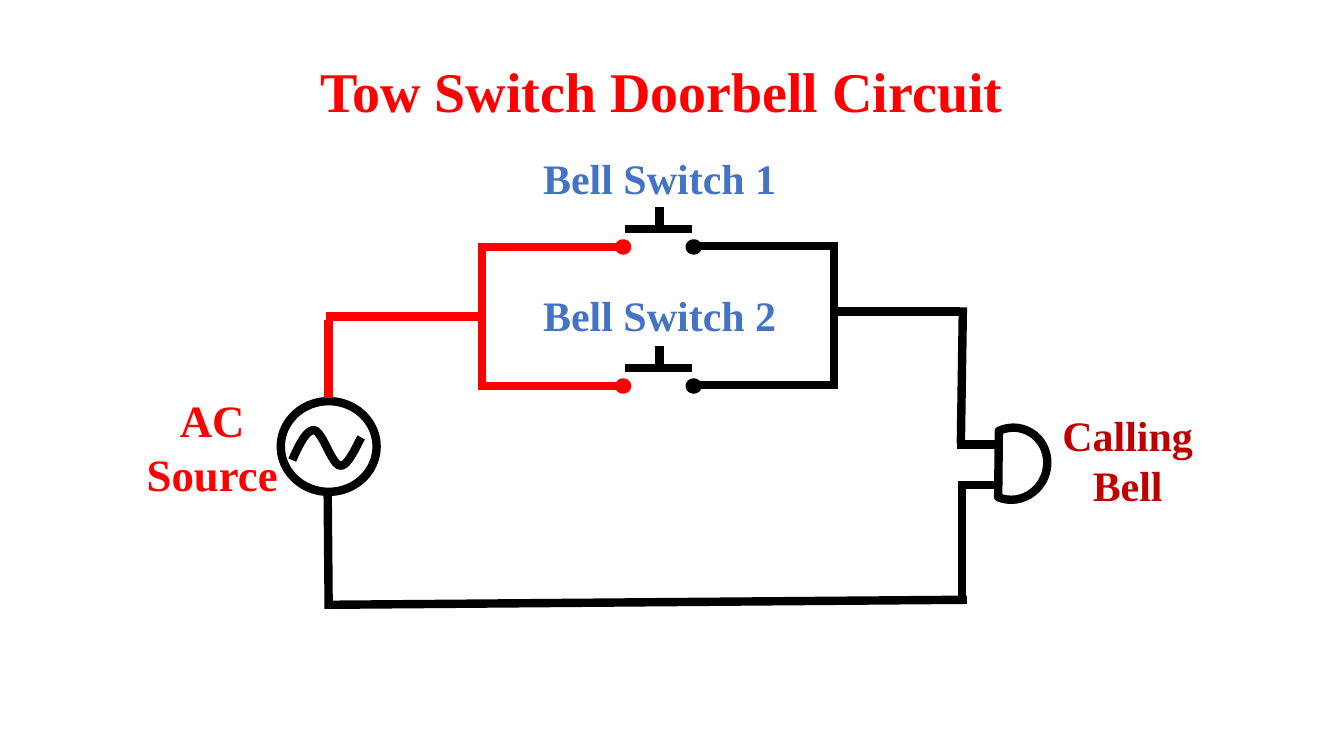
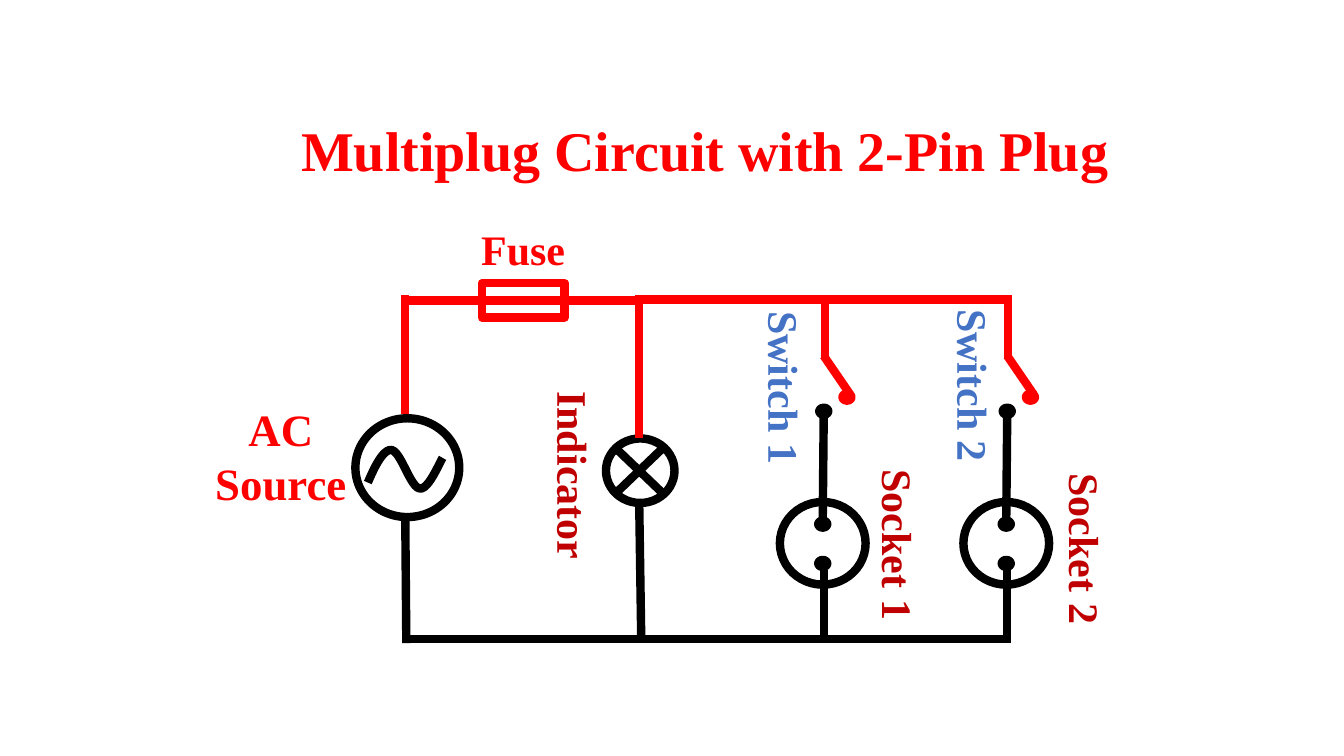
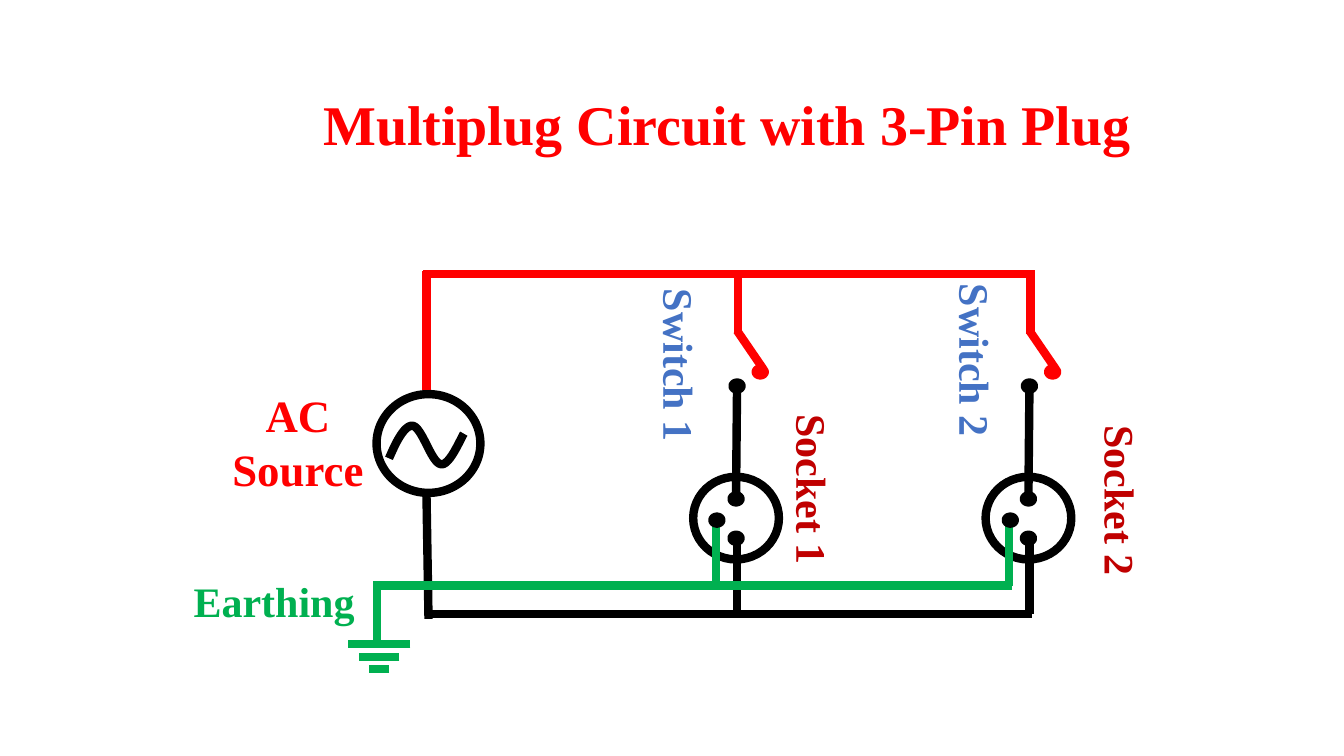
from lxml.etree import SubElement
from pptx import Presentation
from pptx.dml.color import RGBColor
from pptx.enum.shapes import MSO_CONNECTOR as Link, MSO_SHAPE as Geo
from pptx.enum.text import MSO_ANCHOR as Anchor, PP_ALIGN as Align
from pptx.oxml.ns import qn
from pptx.util import Inches, Pt

RED, BLACK, WHITE = "FF0000", "000000", "FFFFFF"
BLUE, MAROON, GREEN = "4472C4", "C00000", "00B050"
FONT = "Times New Roman"
STROKE = Pt(6)
rgb = RGBColor.from_string


def wire(slide, colour, x1, y1, x2, y2):
    link = slide.shapes.add_connector(
        Link.STRAIGHT, Inches(x1), Inches(y1), Inches(x2), Inches(y2))
    link.line.color.rgb = rgb(colour)
    link.line.width = STROKE
    SubElement(link._element.spPr, qn("a:effectLst"))
    return link


def symbol(slide, geometry, cx, cy, width, height, colour, fill=WHITE):
    part = slide.shapes.add_shape(
        geometry, Inches(cx - width / 2), Inches(cy - height / 2),
        Inches(width), Inches(height))
    part.shadow.inherit = False
    part.fill.solid()
    part.fill.fore_color.rgb = rgb(fill)
    part.line.color.rgb = rgb(colour)
    part.line.width = STROKE
    return part


prs = Presentation()
prs.slide_width, prs.slide_height = Inches(13.33), Inches(7.5)
doorbell, two_pin, three_pin = [
    prs.slides.add_slide(prs.slide_layouts[6]) for _ in range(3)]

wave_start = (-0.38, 0.15)
wave_curves = [
    [(-0.31, -0.02), (-0.23, -0.19), (-0.15, -0.18)],
    [(-0.06, -0.16), (0.03, 0.2), (0.12, 0.21)],
    [(0.2, 0.23), (0.31, -0.05), (0.34, -0.1)],
]
STEPS = 12
for slide, cx, cy, width, height in [
    (doorbell, 3.26, 4.43, 0.95, 0.9),
    (two_pin, 4.04, 4.64, 1.03, 0.98),
    (three_pin, 4.25, 4.4, 1.03, 0.98),
]:
    symbol(slide, Geo.OVAL, cx, cy, width, height, BLACK)
    wave_points = [wave_start]
    for curve in wave_curves:
        corners = [wave_points[-1], *curve]
        for step in range(1, STEPS + 1):
            t = step / STEPS
            weights = ((1 - t) ** 3, 3 * t * (1 - t) ** 2, 3 * t * t * (1 - t), t ** 3)
            wave_points.append(tuple(
                sum(w * corner[axis] for w, corner in zip(weights, corners))
                for axis in (0, 1)))
    track = [(Inches(cx + x * width), Inches(cy + y * height)) for x, y in wave_points]
    outline = slide.shapes.build_freeform(*track[0])
    outline.add_line_segments(track[1:], close=False)
    wave = outline.convert_to_shape()
    wave.shadow.inherit = False
    wave.fill.background()
    wave.line.color.rgb = rgb(BLACK)
    wave.line.width = STROKE

bell = symbol(doorbell, Geo.CHORD, 10.04, 4.6, 0.69, 0.72, BLACK)
bell.rotation = 202.8
for run in [
    (RED, 3.26, 3.17, 3.26, 3.95),
    (RED, 3.23, 3.14, 4.75, 3.14),
    (RED, 4.78, 2.45, 4.78, 3.83),
    (BLACK, 8.27, 2.44, 8.27, 3.82),
    (BLACK, 8.28, 3.09, 9.52, 3.09),
    (BLACK, 9.55, 3.05, 9.53, 4.4),
    (BLACK, 9.91, 4.41, 9.49, 4.41),
    (BLACK, 9.92, 4.81, 9.5, 4.81),
    (BLACK, 9.54, 4.81, 9.54, 5.93),
    (BLACK, 3.25, 6, 9.59, 5.95),
    (BLACK, 3.25, 4.91, 3.26, 6.04),
]:
    wire(doorbell, *run)
for y in (2.45, 3.83):
    wire(doorbell, RED, 4.74, y, 6.12, y)
    wire(doorbell, BLACK, 6.93, y - 0.01, 8.31, y - 0.01)
    wire(doorbell, BLACK, 6.2, y - 0.18, 6.86, y - 0.18)
    wire(doorbell, BLACK, 6.54, y - 0.18, 6.54, y - 0.4)
    for x, colour in ((6.18, RED), (6.88, BLACK)):
        symbol(doorbell, Geo.OVAL, x, y, 0.08, 0.07, colour, colour)

fuse = symbol(two_pin, Geo.RECTANGLE, 5.19, 2.98, 0.82, 0.34, RED)
wire(two_pin, RED, 4.02, 2.98, 4.78, 2.98).end_connect(fuse, 1)
fuse_wire = wire(two_pin, RED, 4.78, 2.98, 5.6, 2.98)
fuse_wire.begin_connect(fuse, 1)
fuse_wire.end_connect(fuse, 3)
wire(two_pin, RED, 5.6, 2.98, 6.34, 2.98).begin_connect(fuse, 3)
symbol(two_pin, Geo.OVAL, 6.35, 4.67, 0.68, 0.64, BLACK)
for run in [
    (RED, 4.02, 2.93, 4.02, 4.11),
    (RED, 6.34, 2.97, 10.03, 2.97),
    (RED, 6.34, 2.93, 6.34, 4.35),
    (BLACK, 6.1, 4.9, 6.58, 4.44),
    (BLACK, 6.1, 4.44, 6.58, 4.9),
    (BLACK, 6.34, 4.99, 6.36, 6.34),
    (BLACK, 4.02, 5.16, 4.03, 6.38),
    (BLACK, 4.02, 6.34, 10.03, 6.34),
]:
    wire(two_pin, *run)

for run in [
    (RED, 4.23, 2.69, 4.23, 3.87),
    (RED, 4.2, 2.72, 10.24, 2.72),
    (BLACK, 4.23, 4.91, 4.25, 6.14),
    (BLACK, 4.23, 6.09, 10.24, 6.09),
]:
    wire(three_pin, *run)

for slide, live, x in [
    (two_pin, 2.97, 8.17), (two_pin, 2.97, 9.99),
    (three_pin, 2.72, 7.31), (three_pin, 2.72, 10.21),
]:
    symbol(slide, Geo.OVAL, x - 0.01, live + 2.42, 0.85, 0.82, BLACK)
    wire(slide, RED, x + 0.01, live - 0.04, x + 0.01, live + 0.59)
    wire(slide, RED, x, live + 0.56, x + 0.26, live + 0.94)
    wire(slide, BLACK, x, live + 1.15, x - 0.01, live + 2.2)
    wire(slide, BLACK, x, live + 2.68, x, live + 3.37)
    for dx, dy, colour in [
        (0.23, 0.97, RED), (0, 1.11, BLACK),
        (-0.01, 2.23, BLACK), (-0.01, 2.62, BLACK),
    ]:
        symbol(slide, Geo.OVAL, x + dx, live + dy, 0.09, 0.07, colour, colour)

wire(three_pin, GREEN, 3.7, 5.81, 10.04, 5.81)
wire(three_pin, GREEN, 3.74, 5.78, 3.74, 6.39)
for y, half in ((6.39, 0.31), (6.52, 0.2), (6.64, 0.1)):
    wire(three_pin, GREEN, 3.76 + half, y, 3.76 - half, y)
for x in (7.1, 10.01):
    wire(three_pin, GREEN, x, 5.2, x, 5.81)
    symbol(three_pin, Geo.OVAL, x + 0.01, 5.16, 0.09, 0.07, BLACK, BLACK)

for slide, words, left, top, width, height, size, colour, turn in [
    (doorbell, "Tow Switch Doorbell Circuit", 2.11, 0.53, 8.9, 0.81, 40, RED, 0),
    (doorbell, "Bell Switch 1", 5.16, 1.46, 2.77, 0.61, 30, BLUE, 0),
    (doorbell, "Bell Switch 2", 5.16, 2.82, 2.77, 0.61, 30, BLUE, 0),
    (doorbell, "Calling Bell", 10.29, 4.01, 1.79, 1.11, 30, MAROON, 0),
    (doorbell, "AC\nSource", 1.25, 3.85, 1.71, 1.18, 32, RED, 0),
    (two_pin, "Multiplug Circuit with 2-Pin Plug", 2.54, 1.12, 8.9, 0.81, 40, RED, 0),
    (two_pin, "Fuse", 4.51, 2.17, 1.36, 0.61, 30, RED, 0),
    (two_pin, "AC Source", 1.89, 3.94, 1.79, 1.18, 32, RED, 0),
    (two_pin, "Indicator", 4.65, 4.41, 2.08, 0.61, 30, MAROON, 90),
    (two_pin, "Switch 1", 6.85, 3.54, 1.86, 0.61, 30, BLUE, 90),
    (two_pin, "Switch 2", 8.74, 3.52, 1.83, 0.61, 30, BLUE, 90),
    (two_pin, "Socket 1", 7.98, 5.1, 1.86, 0.61, 30, MAROON, 90),
    (two_pin, "Socket 2", 9.85, 5.14, 1.83, 0.61, 30, MAROON, 90),
    (three_pin, "Multiplug Circuit with 3-Pin Plug", 2.76, 0.86, 8.9, 0.81, 40, RED, 0),
    (three_pin, "AC Source", 2.09, 3.8, 1.73, 1.18, 32, RED, 0),
    (three_pin, "Earthing", 1.67, 5.66, 2.1, 0.61, 30, GREEN, 0),
    (three_pin, "Switch 1", 5.81, 3.32, 1.86, 0.61, 30, BLUE, 90),
    (three_pin, "Switch 2", 8.76, 3.27, 1.83, 0.61, 30, BLUE, 90),
    (three_pin, "Socket 1", 7.13, 4.55, 1.86, 0.61, 30, MAROON, 90),
    (three_pin, "Socket 2", 10.2, 4.66, 1.83, 0.61, 30, MAROON, 90),
]:
    label = slide.shapes.add_textbox(
        Inches(left), Inches(top), Inches(width), Inches(height))
    label.rotation = turn
    frame = label.text_frame
    frame.word_wrap = True
    is_title = size == 40
    if is_title:
        frame.vertical_anchor = Anchor.MIDDLE
    for index, line in enumerate(words.split("\n")):
        paragraph = frame.add_paragraph() if index else frame.paragraphs[0]
        paragraph.alignment = Align.CENTER
        if is_title:
            paragraph.line_spacing = 0.9
        run = paragraph.add_run()
        run.text = line
        run.font.name = FONT
        run.font.size = Pt(size)
        run.font.bold = True
        run.font.color.rgb = rgb(colour)

prs.save("out.pptx")
